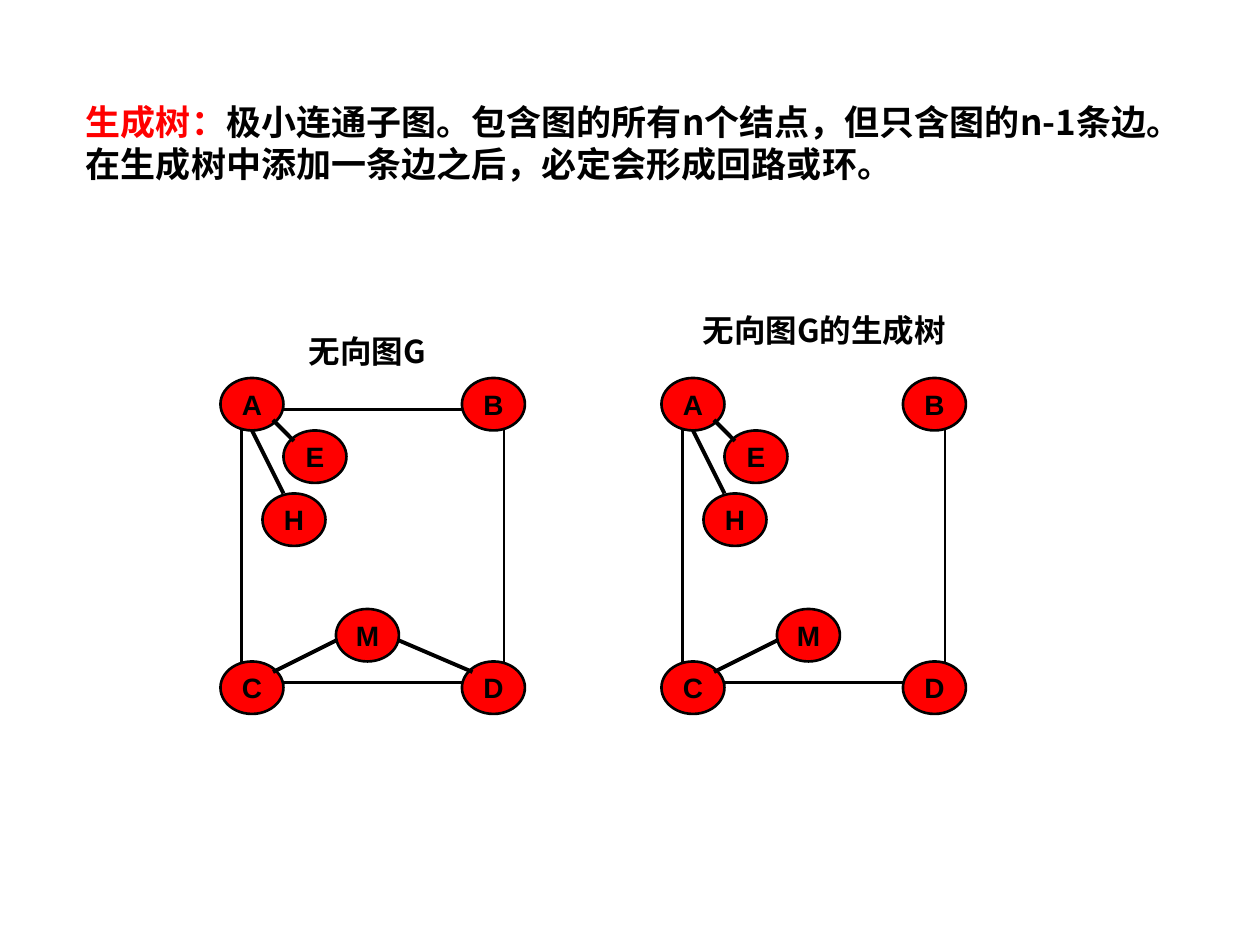
from lxml.etree import SubElement
from pptx import Presentation
from pptx.dml.color import RGBColor
from pptx.enum.shapes import MSO_CONNECTOR, MSO_SHAPE
from pptx.enum.text import MSO_ANCHOR, MSO_AUTO_SIZE, PP_ALIGN
from pptx.oxml.ns import qn
from pptx.util import Pt

# Content: text, with boxes as left, top, width, height in points
DEFINITION = [
    ("生成树：", "accent"),
    ("极小连通子图。包含图的所有n个结点，但只含图的n-1条边。"
     "在生成树中添加一条边之后，必定会形成回路或环。", "ink"),
]
DEFINITION_BOX = (42, 54, 648, 55.2)

# Nodes and edges lie on a grid, counted from the top left of the graph
UNIT = 6
NODE_SIZE = (6, 5)
NODES = {"A": (0, 0), "B": (23, 0), "C": (0, 27), "D": (23, 27),
         "E": (6, 5), "H": (4, 11), "M": (11, 22)}
EDGES = {
    "AB": ((6, 3), (23, 3)),
    "AC": ((2, 5), (2, 27)),
    "BD": ((27, 5), (27, 27)),
    "CD": ((6, 29), (23, 29)),
    "MD": ((17, 25), (24, 28)),
    "CM": ((5, 28), (11, 25)),
    "AH": ((3, 5), (6, 11)),
    "AE": ((5, 4), (7, 6)),
}
CYCLE_EDGES = {"AB", "MD"}
GRAPHS = [
    {"label": "无向图G", "label_box": (162, 186, 96, 28.8),
     "origin": (126, 216), "edges": list(EDGES)},
    {"label": "无向图G的生成树", "label_box": (390, 174, 162, 28.8),
     "origin": (378, 216), "edges": [e for e in EDGES if e not in CYCLE_EDGES]},
]

THEME = {
    "ink": RGBColor(0, 0, 0),
    "accent": RGBColor(255, 0, 0),
    "text_font": "Noto Sans CJK SC",
    "node_font": "Arial",
    "definition_size": 20,
    "label_size": 18,
    "node_size": 16,
    "straight_line": 1.5,
    "slanted_line": 2.25,
}


def add_span(para, text, size, face, color="ink"):
    span = para.add_run()
    span.text = text
    formats = {"size": Pt(size), "bold": True, "name": face}
    for name, value in formats.items():
        setattr(span.font, name, value)
    span.font.color.rgb = THEME[color]
    SubElement(span.font._element, qn("a:ea"), typeface=face)


def add_text(page, box, spans, size, align):
    frame = page.shapes.add_textbox(*map(Pt, box)).text_frame
    frame.word_wrap = True
    frame.auto_size = MSO_AUTO_SIZE.SHAPE_TO_FIT_TEXT
    para = frame.paragraphs[0]
    para.alignment = align
    for text, color in spans:
        add_span(para, text, size, THEME["text_font"], color)


def place(origin, point):
    return [Pt(start + UNIT * step) for start, step in zip(origin, point)]


def add_node(group, origin, name):
    width, height = (Pt(UNIT * steps) for steps in NODE_SIZE)
    node = group.shapes.add_shape(
        MSO_SHAPE.OVAL, *place(origin, NODES[name]), width, height)
    node.shadow.inherit = False
    node.fill.solid()
    node.fill.fore_color.rgb = THEME["accent"]
    node.line.color.rgb = THEME["ink"]
    node.line.width = Pt(THEME["straight_line"])
    frame = node.text_frame
    frame.word_wrap = False
    frame.vertical_anchor = MSO_ANCHOR.MIDDLE
    para = frame.paragraphs[0]
    para.alignment = PP_ALIGN.CENTER
    add_span(para, name, THEME["node_size"], THEME["node_font"])


def add_edge(group, origin, name):
    start, end = EDGES[name]
    edge = group.shapes.add_connector(
        MSO_CONNECTOR.STRAIGHT, *place(origin, start), *place(origin, end))
    slanted = start[0] != end[0] and start[1] != end[1]
    edge.line.color.rgb = THEME["ink"]
    edge.line.width = Pt(THEME["slanted_line" if slanted else "straight_line"])
    SubElement(edge._element.spPr, qn("a:effectLst"))


def main():
    deck = Presentation()
    deck.slide_width, deck.slide_height = Pt(720), Pt(540)
    page = deck.slides.add_slide(deck.slide_layouts[6])

    # Definition across the top
    add_text(page, DEFINITION_BOX, DEFINITION,
             THEME["definition_size"], PP_ALIGN.LEFT)

    # The graph and its spanning tree, each with a label
    for graph in GRAPHS:
        group = page.shapes.add_group_shape()
        for name in NODES:
            add_node(group, graph["origin"], name)
        for name in graph["edges"]:
            add_edge(group, graph["origin"], name)
        add_text(page, graph["label_box"], [(graph["label"], "ink")],
                 THEME["label_size"], PP_ALIGN.CENTER)

    deck.save("out.pptx")


if __name__ == "__main__":
    main()
